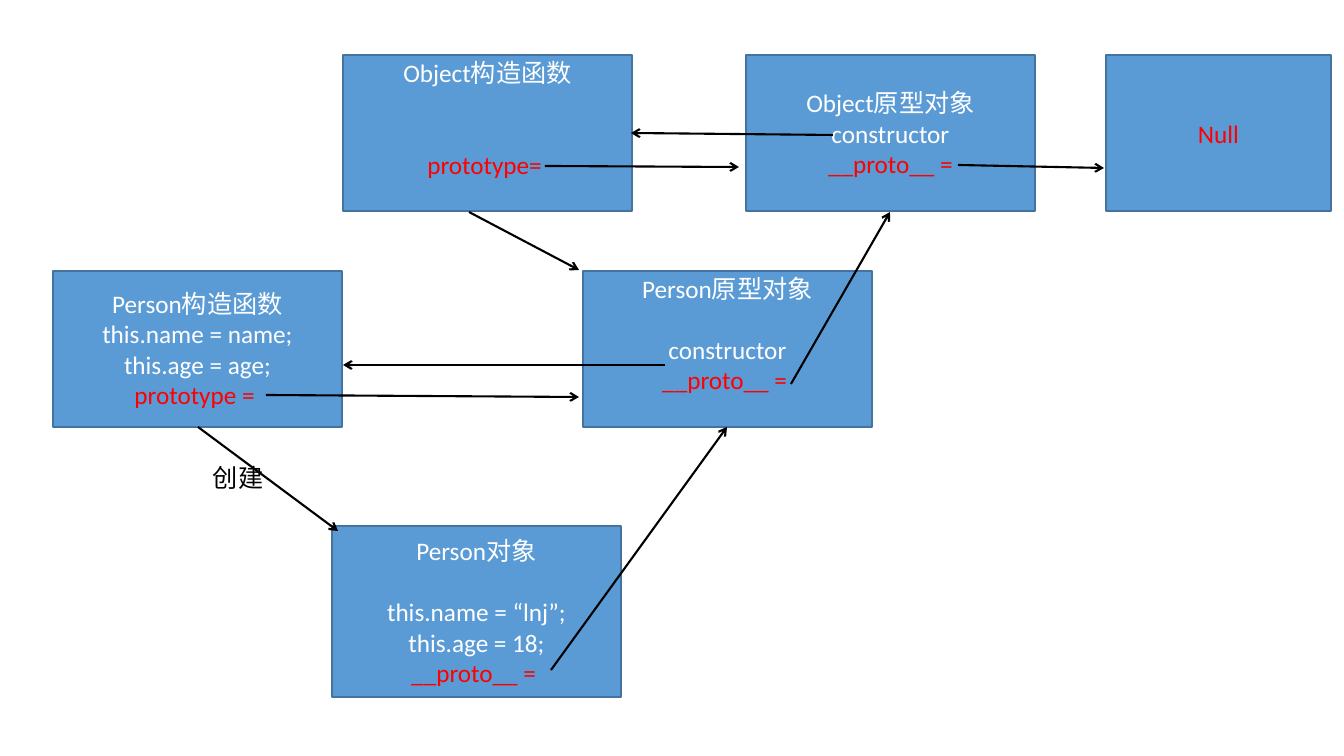
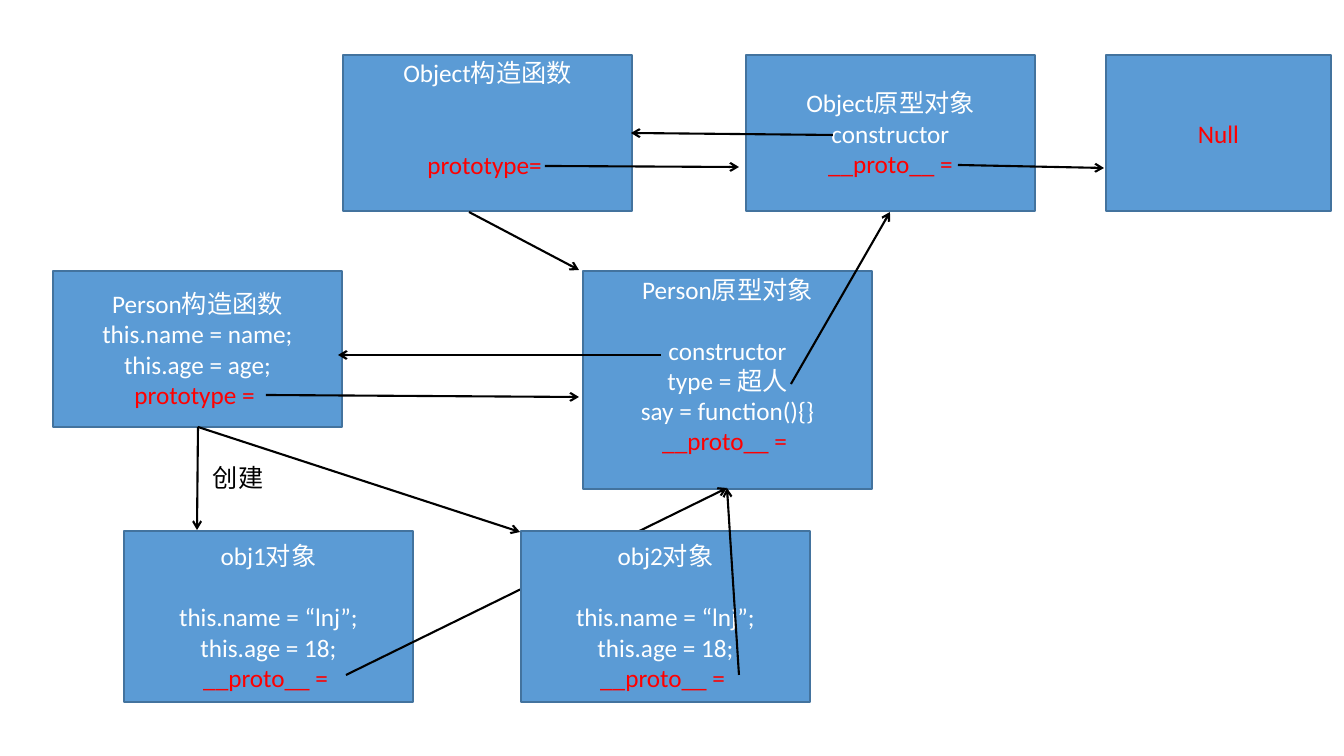
from dataclasses import dataclass
from typing import Any

from lxml.etree import SubElement
from pptx import Presentation
from pptx.dml.color import RGBColor
from pptx.enum.shapes import MSO_CONNECTOR, MSO_SHAPE
from pptx.enum.text import MSO_ANCHOR, MSO_AUTO_SIZE, PP_ALIGN
from pptx.oxml.ns import qn
from pptx.slide import Slide
from pptx.util import Emu, Pt

PIXEL = 914400 / 100.8
PAGE_WIDTH, PAGE_HEIGHT = 1344, 756
BOX_WIDTH, BOX_HEIGHT, OBJECT_HEIGHT = 289, 156, 171
TOP_ROW, PERSON_ROW = 55, 271
LINE_PIXELS = 30
LINE_POINTS = 22
COLORS = {"box": "5B9BD5", "edge": "43739E", "light": "FFFFFF",
          "link": "FF0000", "dark": "000000"}
FONT = {"name": "Calibri", "size": Pt(18)}
BOX_FRAME = {"word_wrap": True, "vertical_anchor": MSO_ANCHOR.MIDDLE, "margin_top": 0}
LABEL_FRAME = {"word_wrap": False, "auto_size": MSO_AUTO_SIZE.SHAPE_TO_FIT_TEXT}


@dataclass(frozen=True)
class Line:
    """One line of text, with the number of free lines above it."""
    text: str
    color: str = "light"
    gap: int = 0


@dataclass(frozen=True)
class Box:
    """A filled box; gap_below counts the free lines under its text."""
    left: int
    top: int
    lines: tuple[Line, ...]
    width: int = BOX_WIDTH
    height: int = BOX_HEIGHT
    gap_below: int = 0


@dataclass(frozen=True)
class Arrow:
    """A straight arrow between two points."""
    start: tuple[int, int]
    end: tuple[int, int]


@dataclass(frozen=True)
class Label:
    """A loose caption."""
    left: int
    top: int
    width: int
    height: int
    line: Line


def px(value: int) -> Emu:
    """Turn pixels into EMU."""
    return Emu(round(value * PIXEL))


def color(name: str) -> RGBColor:
    """Look up a named colour."""
    return RGBColor.from_string(COLORS[name])


def set_values(target: Any, values: dict[str, Any]) -> None:
    """Set each named attribute on the target."""
    for name, value in values.items():
        setattr(target, name, value)


def write_lines(frame: Any, lines: tuple[Line, ...], align: PP_ALIGN) -> None:
    """Write one paragraph for each line."""
    for index, line in enumerate(lines):
        para = frame.add_paragraph() if index else frame.paragraphs[0]
        set_values(para, {"alignment": align, "space_before": Pt(line.gap * LINE_POINTS)})
        span = para.add_run()
        span.text = line.text
        set_values(span.font, FONT)
        span.font.color.rgb = color(line.color)


def draw_box(page: Slide, box: Box) -> None:
    """Draw a box with centred lines."""
    shape = page.shapes.add_shape(MSO_SHAPE.RECTANGLE, px(box.left), px(box.top),
                                  px(box.width), px(box.height))
    shape.shadow.inherit = False
    shape.fill.solid()
    shape.fill.fore_color.rgb = color("box")
    shape.line.color.rgb = color("edge")
    shape.line.width = Pt(1)
    set_values(shape.text_frame,
               BOX_FRAME | {"margin_bottom": px(box.gap_below * LINE_PIXELS)})
    write_lines(shape.text_frame, box.lines, PP_ALIGN.CENTER)


def draw_arrow(page: Slide, arrow: Arrow) -> None:
    """Draw a line with an open head at its end."""
    connector = page.shapes.add_connector(
        MSO_CONNECTOR.STRAIGHT, *map(px, arrow.start + arrow.end))
    connector.line.color.rgb = color("dark")
    connector.line.width = Pt(1.5)
    properties = connector.element.spPr
    SubElement(properties.find(qn("a:ln")), qn("a:tailEnd"), type="arrow")
    SubElement(properties, qn("a:effectLst"))


def draw_label(page: Slide, label: Label) -> None:
    """Draw a caption that does not wrap."""
    text_box = page.shapes.add_textbox(px(label.left), px(label.top),
                                       px(label.width), px(label.height))
    set_values(text_box.text_frame, LABEL_FRAME)
    write_lines(text_box.text_frame, (label.line,), PP_ALIGN.LEFT)


def person_prototype(members: tuple[Line, ...], height: int) -> Box:
    """Describe the Person prototype with its extra members."""
    lines = (Line("Person原型对象"), Line("constructor", gap=1), *members,
             Line("__proto__ = ", "link"))
    return Box(583, PERSON_ROW, lines, height=height, gap_below=1)


def person_object(name: str, left: int, top: int) -> Box:
    """Describe an object made by the Person constructor."""
    lines = (Line(f"{name}对象"), Line("this.name = “lnj”;", gap=1),
             Line("this.age = 18;"), Line("__proto__ = ", "link"))
    return Box(left, top, lines, height=OBJECT_HEIGHT)


DRAWERS = {Box: draw_box, Arrow: draw_arrow, Label: draw_label}

SHARED_BOXES = (
    Box(53, PERSON_ROW, (Line("Person构造函数"), Line("this.name = name;"),
                         Line("this.age = age;"), Line("prototype = ", "link"))),
    Box(343, TOP_ROW, (Line("Object构造函数"), Line("prototype= ", "link", 2)),
        gap_below=1),
    Box(746, TOP_ROW, (Line("Object原型对象"), Line("constructor"),
                       Line("__proto__ =", "link"))),
    Box(1106, TOP_ROW, (Line("Null", "link"),), width=225),
)
SHARED_LINKS = (
    Arrow((266, 395), (579, 397)),
    Arrow((469, 212), (579, 270)),
    Arrow((791, 384), (890, 212)),
    Arrow((833, 135), (631, 133)),
    Arrow((545, 166), (739, 167)),
    Arrow((958, 165), (1104, 168)),
    Label(203, 457, 71, 40, Line("创建", "dark")),
)
CREATOR = (198, 427)
PROTOTYPE_FOOT = (727, 488)

ONE_OBJECT = (
    *SHARED_BOXES,
    person_prototype((), BOX_HEIGHT),
    person_object("Person", 332, 526),
    *SHARED_LINKS,
    Arrow((665, 365), (343, 365)),
    Arrow(CREATOR, (338, 531)),
    Arrow((551, 670), (727, 427)),
)
TWO_OBJECTS = (
    *SHARED_BOXES,
    person_prototype((Line("type = 超人"), Line("say = function(){}")), 218),
    person_object("obj1", 124, 531),
    *SHARED_LINKS,
    Arrow((661, 355), (338, 355)),
    Arrow(CREATOR, (197, 530)),
    Arrow((346, 675), PROTOTYPE_FOOT),
    person_object("obj2", 521, 531),
    Arrow(CREATOR, (520, 532)),
    Arrow((739, 675), PROTOTYPE_FOOT),
)


def main() -> None:
    """Build and save the deck."""
    deck = Presentation()
    set_values(deck, {"slide_width": px(PAGE_WIDTH), "slide_height": px(PAGE_HEIGHT)})
    blank_layout = deck.slide_layouts[6]
    for diagram in (ONE_OBJECT, TWO_OBJECTS):
        page = deck.slides.add_slide(blank_layout)
        for item in diagram:
            DRAWERS[type(item)](page, item)
    deck.save("out.pptx")


main()
